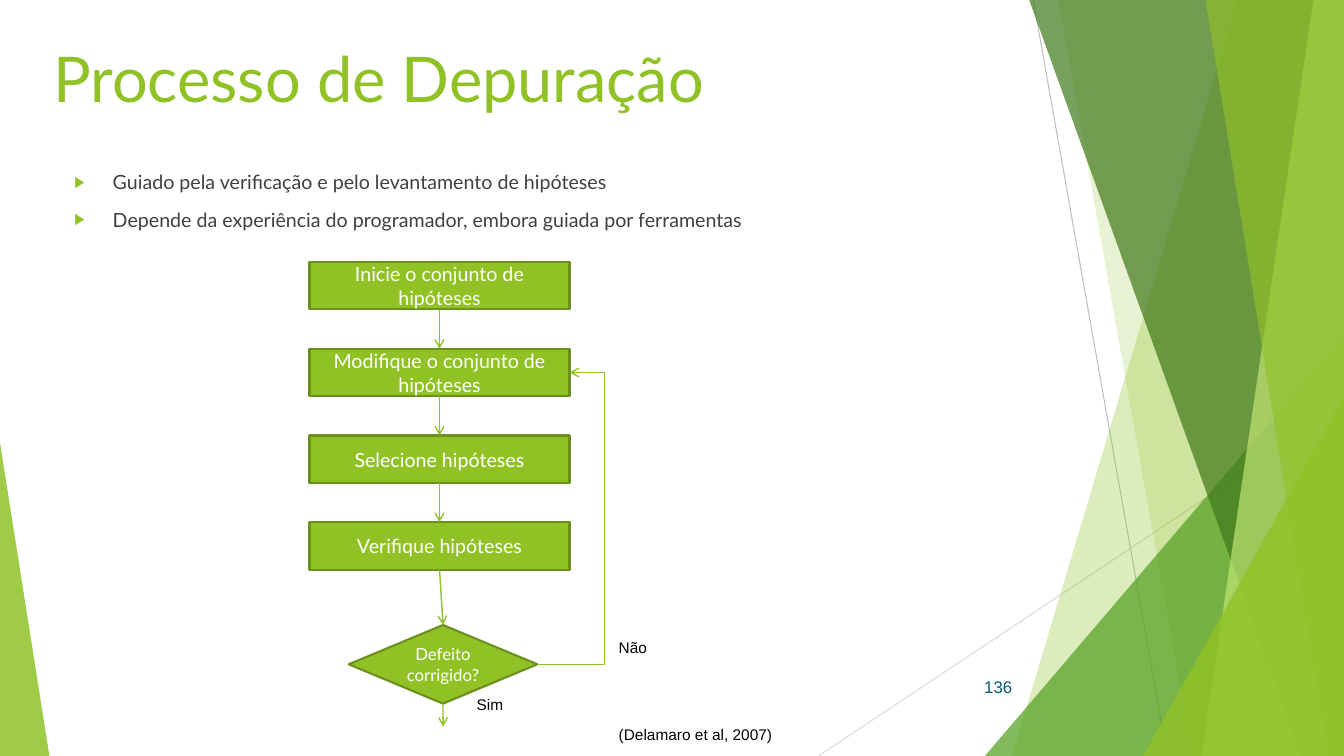
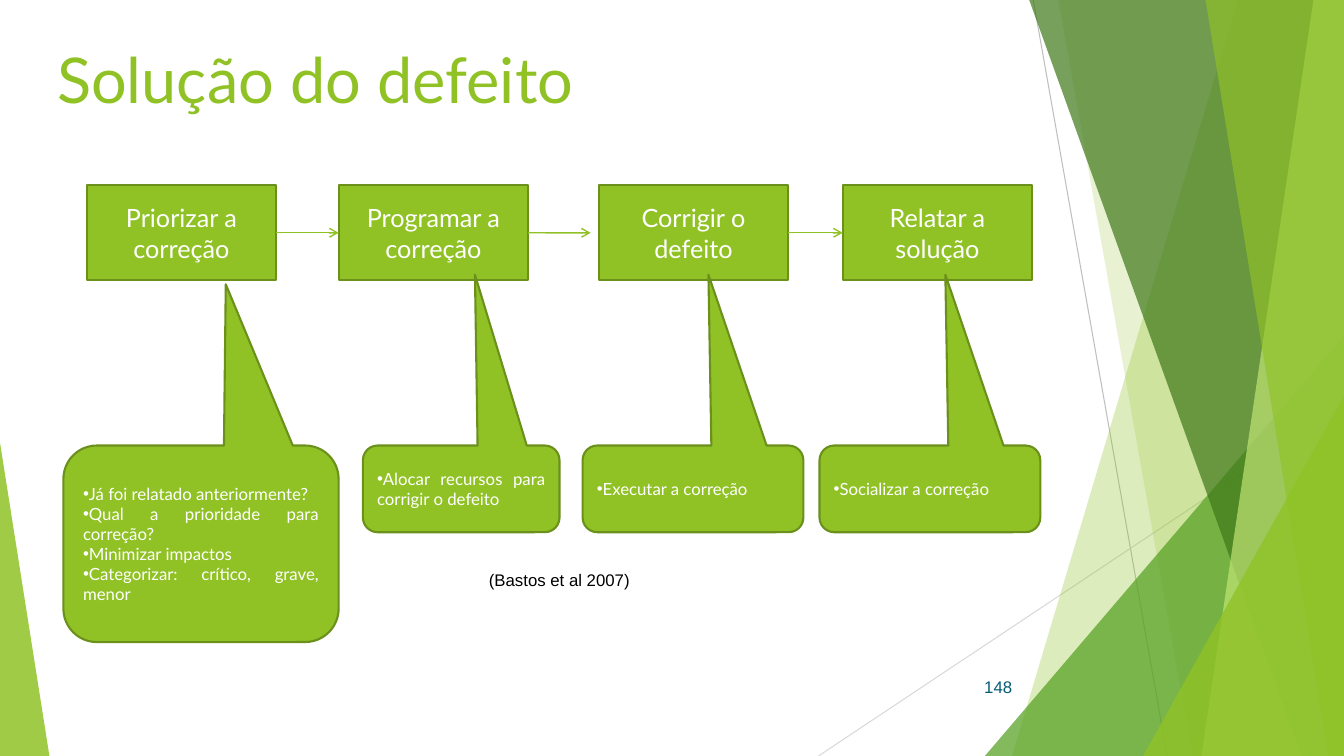
from lxml import etree
from pptx import Presentation, util as u
from pptx.dml.color import RGBColor
from pptx.enum import shapes, text
from pptx.oxml.ns import qn

COLORS = {
    "green": "90C226", "edge": "6B901C", "leaf": "54A021", "forest": "3F7819",
    "lime": "C0E474", "body": "404040", "number": "045C75", "white": "FFFFFF",
    "black": "000000", "rule": "BFBFBF", "faint_rule": "D9D9D9",
}
WIDTH, HEIGHT = u.Inches(13.333), u.Inches(7.5)
LATO, ARIAL = "Lato", "Arial"
ALIGN, ANCHOR = text.PP_ALIGN, text.MSO_ANCHOR
SHAPE, LINK = shapes.MSO_SHAPE, shapes.MSO_CONNECTOR
TOP, LEFT, BOTTOM, RIGHT = range(4)


# Geometry: every length is a percentage of the slide's width or height
def across(share):
    return round(WIDTH * share / 100)


def down(share):
    return round(HEIGHT * share / 100)


def area(left, top, width, height):
    return across(left), down(top), across(width), down(height)


def color(name):
    return RGBColor.from_string(COLORS[name])


def child(parent, tag, **attributes):
    return etree.SubElement(parent, qn(tag), attributes)


# Text
def add_bullet(paragraph, mark, indent=0, tint=None, size=None):
    props = paragraph._p.get_or_add_pPr()
    props.set("marL", str(u.Inches(indent)))
    props.set("indent", str(-u.Inches(indent)))
    if tint:
        child(child(props, "a:buClr"), "a:srgbClr", val=COLORS[tint])
    if size:
        child(props, "a:buSzPct", val=str(size * 1000))
    child(props, "a:buFont", typeface=ARIAL)
    child(props, "a:buChar", char=mark)


def write(frame, lines, size, font, tint, align=ALIGN.LEFT,
          anchor=ANCHOR.TOP, before=0, bullet=None):
    frame.word_wrap = True
    frame.vertical_anchor = anchor
    for index, line in enumerate(lines):
        paragraph = frame.paragraphs[0] if index == 0 else frame.add_paragraph()
        paragraph.text = line
        paragraph.alignment = align
        paragraph.space_before = u.Pt(before)
        if bullet:
            add_bullet(paragraph, **bullet)
        paragraph.font.size = u.Pt(size)
        paragraph.font.name = font
        paragraph.font.color.rgb = color(tint)


def add_text(slide, place, lines, size, font, tint, **style):
    frame = slide.shapes.add_textbox(*area(*place)).text_frame
    write(frame, lines, size, font, tint, **style)
    return frame


# Filled shapes
def add_node(slide, kind, place, lines, size, align=ALIGN.CENTER, bullet=None):
    node = slide.shapes.add_shape(kind, *area(*place))
    node.shadow.inherit = False
    node.fill.solid()
    node.fill.fore_color.rgb = color("green")
    node.line.color.rgb = color("edge")
    node.line.width = u.Pt(1.5)
    write(node.text_frame, lines, size, LATO, "white", align=align,
          anchor=ANCHOR.MIDDLE, bullet=bullet)
    return node


def add_callout(slide, place, lines, pointer):
    callout = add_node(slide, SHAPE.ROUNDED_RECTANGULAR_CALLOUT, place, lines,
                       12, align=ALIGN.JUSTIFY, bullet={"mark": "•"})
    for index, value in enumerate((*pointer, 0.17)):
        callout.adjustments[index] = value


# Lines and arrows
def add_line(slide, start, end, tint, width, kind=LINK.STRAIGHT):
    line = slide.shapes.add_connector(
        kind, across(start[0]), down(start[1]), across(end[0]), down(end[1]))
    line.line.color.rgb = color(tint)
    line.line.width = u.Pt(width)
    child(line._element.spPr, "a:effectLst")
    return line


def add_arrow(slide, start=(0, 0), end=(0, 0), source=None, target=None,
              kind=LINK.STRAIGHT):
    """source and target are (node, side) pairs to join."""
    arrow = add_line(slide, start, end, "green", 1, kind)
    child(arrow._element.spPr.find(qn("a:ln")), "a:tailEnd", type="arrow")
    if source:
        arrow.begin_connect(*source)
    if target:
        arrow.end_connect(*target)
    return arrow


# Shared background
def tint_facet(facet, tint, opacity):
    facet.shadow.inherit = False
    facet.line.fill.background()
    facet.fill.solid()
    facet.fill.fore_color.rgb = color(tint)
    child(facet._element.spPr.find(".//" + qn("a:srgbClr")), "a:alpha",
          val=str(opacity * 1000))


def add_band(slide, top_x, bottom_x, tint, opacity):
    outline = slide.shapes.build_freeform(across(top_x), 0)
    outline.add_line_segments(
        [(WIDTH, 0), (WIDTH, HEIGHT), (across(bottom_x), HEIGHT)], close=True)
    tint_facet(outline.convert_to_shape(), tint, opacity)


def add_corner(slide, left, top, width, apex, tint, opacity):
    corner = slide.shapes.add_shape(
        SHAPE.ISOSCELES_TRIANGLE, *area(left, top, width, 100 - top))
    corner.adjustments[0] = apex
    tint_facet(corner, tint, opacity)


def add_background(slide):
    add_line(slide, (76.88, 0), (86.85, 100), "rule", 0.75)
    add_line(slide, (100, 53.73), (60.9, 100), "faint_rule", 0.75)
    add_band(slide, 92.1, 75.3, "green", 30)
    add_band(slide, 78.75, 88.73, "green", 20)
    add_corner(slide, 73.28, 44.4, 26.72, 1, "leaf", 72)
    add_band(slide, 76.58, 96.83, "forest", 70)
    add_band(slide, 97.73, 89.4, "lime", 70)
    add_band(slide, 89.7, 98.85, "green", 65)
    add_corner(slide, 85.05, 52.4, 14.95, 1, "green", 80)
    add_corner(slide, 0, 58.53, 3.68, 0, "green", 85)


def start_slide(deck, title, title_at, number):
    slide = deck.slides.add_slide(deck.slide_layouts[6])
    add_background(slide)
    add_text(slide, (*title_at, 71.25, 16.67), [title], 45, LATO, "green")
    add_text(slide, (70.43, 88.13, 5.62, 5.33), [number], 12, ARIAL, "number",
             align=ALIGN.RIGHT, anchor=ANCHOR.MIDDLE)
    return slide


# Slide: debugging process
def build_process(deck):
    slide = start_slide(deck, "Processo de Depuração", (3.22, 4.53), "136")
    add_text(slide, (4.8, 21.87, 71.25, 8.27), [
        "Guiado pela verificação e pelo levantamento de hipóteses",
        "Depende da experiência do programador, embora guiada por ferramentas",
    ], 14, LATO, "body", before=10,
        bullet={"mark": "▶", "indent": 0.38, "tint": "green", "size": 80})

    # Flowchart
    step_labels = ["Inicie o conjunto de hipóteses",
                   "Modifique o conjunto de hipóteses",
                   "Selecione hipóteses", "Verifique hipóteses"]
    steps = [add_node(slide, SHAPE.RECTANGLE,
                      (23.03, 34.67 + 11.47 * row, 19.35, 6.27), [label], 14)
             for row, label in enumerate(step_labels)]
    decision = add_node(slide, SHAPE.FLOWCHART_DECISION,
                        (25.95, 82.67, 14.03, 10.4), ["Defeito corrigido?"], 12)
    flow = [*steps, decision]
    for upper, lower in zip(flow, flow[1:]):
        add_arrow(slide, source=(upper, BOTTOM), target=(lower, TOP))
    add_arrow(slide, end=(32.97, 96.13), source=(decision, BOTTOM))

    # Loop back to the second step
    loop = add_arrow(slide, (39.98, 87.87), (42.38, 49.27), kind=LINK.ELBOW)
    guides = loop._element.spPr.find(qn("a:prstGeom")).find(qn("a:avLst"))
    child(guides, "a:gd", name="adj1", fmla="val 209100")

    # Branch labels and citation
    for label, left, top in (("Não", 45.3, 83.73), ("Sim", 34.73, 91.33)):
        add_text(slide, (left, top, 4.13, 3.87), [label], 11, ARIAL, "black")
    citation = add_text(slide, (45.3, 95.2, 12.98, 3.87),
                        ["(Delamaro et al, 2007)"], 11, ARIAL, "black")
    citation.word_wrap = False


# Slide: fixing the defect
def build_solution(deck):
    slide = start_slide(deck, "Solução do defeito", (3.52, 4.67), "148")
    add_text(slide, (28.42, 74.67, 26.4, 4), ["(Bastos et al 2007)"], 12,
             ARIAL, "black", align=ALIGN.CENTER)

    # Stages
    stages = [add_node(slide, SHAPE.RECTANGLE, (left, 24.53, 14.1, 12.53),
                       [label], 18)
              for left, label in ((6.45, "Priorizar a correção"),
                                  (25.2, "Programar a correção"),
                                  (44.55, "Corrigir o defeito"),
                                  (62.7, "Relatar a solução"))]
    prioritize, schedule, fix, report = stages
    add_arrow(slide, source=(prioritize, RIGHT), target=(schedule, LEFT))
    add_arrow(slide, end=(43.95, 30.8), source=(schedule, RIGHT))
    add_arrow(slide, source=(fix, RIGHT), target=(report, LEFT))

    # Details of each stage
    add_callout(slide, (4.72, 58.93, 20.48, 26), [
        "Já foi relatado anteriormente?", "Qual a prioridade para correção?",
        "Minimizar impactos", "Categorizar: crítico, grave, menor",
    ], (0.09, -1.32))
    for left, width, detail in (
            (27, 14.63, "Alocar recursos para corrigir o defeito"),
            (43.35, 16.43, "Executar a correção"),
            (60.98, 16.43, "Socializar a correção")):
        add_callout(slide, (left, 58.93, width, 11.47), [detail], (0.07, -2.47))


def main():
    deck = Presentation()
    deck.slide_width, deck.slide_height = WIDTH, HEIGHT
    build_process(deck)
    build_solution(deck)
    deck.save("out.pptx")


if __name__ == "__main__":
    main()
